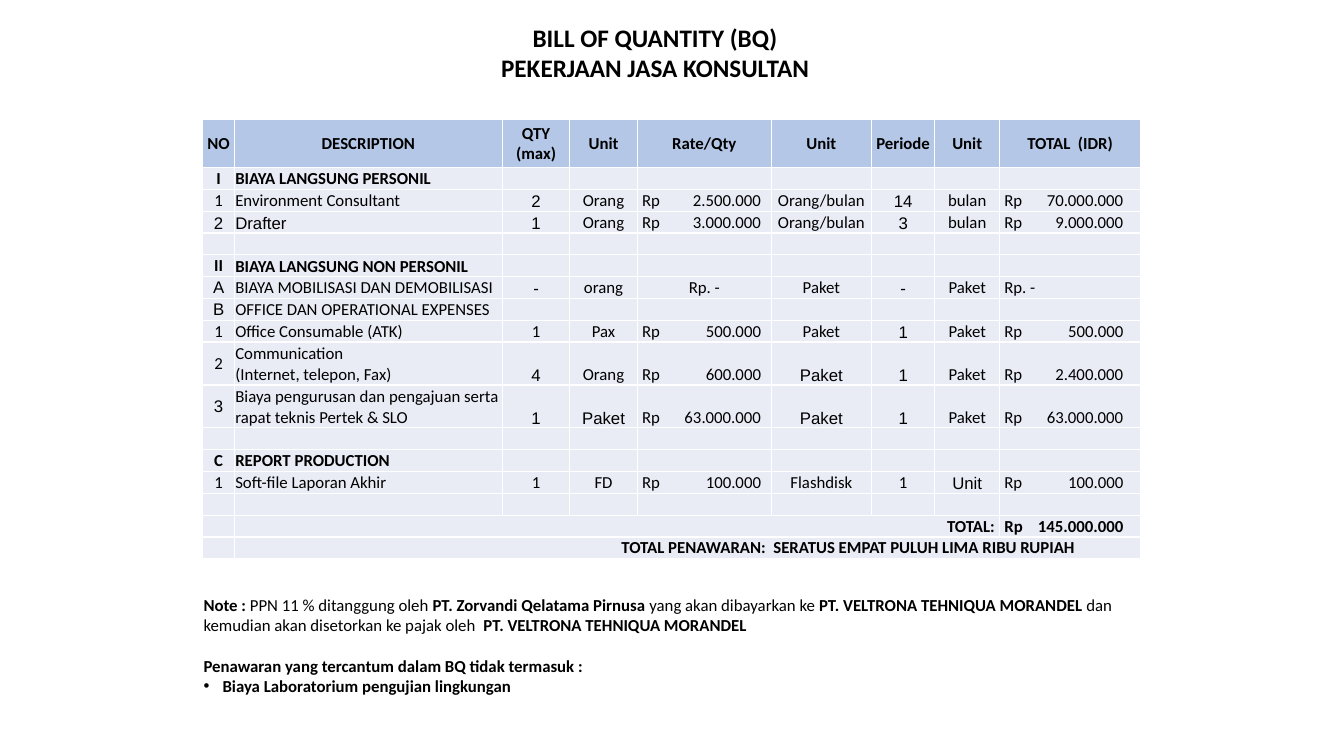
from dataclasses import dataclass

from lxml.etree import SubElement
from pptx import Presentation
from pptx.dml.color import RGBColor
from pptx.enum.text import MSO_ANCHOR as Anchor, MSO_AUTO_SIZE as AutoSize, PP_ALIGN as Align
from pptx.oxml.ns import qn
from pptx.util import Cm, Pt


@dataclass(frozen=True)
class Theme:
    """Colours, fonts and type sizes of the slide."""
    ink: RGBColor = RGBColor(0, 0, 0)
    header_fill: RGBColor = RGBColor(0xB4, 0xC7, 0xE7)
    body_fill: RGBColor = RGBColor(0xE9, 0xEB, 0xF5)
    border: str = "FFFFFF"
    font: str = "Calibri"
    alternate_font: str = "Arial"
    title_size: int = 18
    body_size: int = 12


@dataclass(frozen=True)
class Box:
    """A place on the slide, in centimetres."""
    left: float
    top: float
    width: float
    height: float

    def lengths(self):
        """Return left, top, width and height as lengths."""
        return [Cm(value) for value in (self.left, self.top, self.width, self.height)]


@dataclass(frozen=True)
class BillRow:
    """One table row; alternate lists the columns set in the second font."""
    cells: tuple = ()
    alternate: tuple = ()
    bold: bool = False
    height: float = 0.55
    number_anchor: Anchor = Anchor.MIDDLE


THEME = Theme()
COLUMN_WIDTHS = (0.8, 6.75, 1.7, 1.7, 3.38, 2.52, 1.6, 1.63, 3.56)
DESCRIPTION, RATE, TOTAL = 1, 4, 8
AMOUNT_INSET, AMOUNT_TAB = 0.12, 3.0
OFFER_INDENT = 9.75
TALL = 1.08
HEADER = BillRow(("NO", "DESCRIPTION", "QTY\n(max)", "Unit", "Rate/Qty", "Unit", "Periode",
                  "Unit", "TOTAL  (IDR)"), bold=True, height=1.22)
ROWS = (
    BillRow(("I", "BIAYA LANGSUNG PERSONIL"), bold=True, number_anchor=Anchor.BOTTOM),
    BillRow(("1", "Environment Consultant", "2", "Orang", "Rp\t2.500.000", "Orang/bulan", "14",
             "bulan", "Rp\t70.000.000"), (2, 6), number_anchor=Anchor.BOTTOM),
    BillRow(("2", "Drafter", "1", "Orang", "Rp\t3.000.000", "Orang/bulan", "3",
             "bulan", "Rp\t9.000.000"), (0, 1, 2, 6), number_anchor=Anchor.BOTTOM),
    BillRow(),
    BillRow(("II", "BIAYA LANGSUNG NON PERSONIL"), bold=True),
    BillRow(("A", "BIAYA MOBILISASI DAN DEMOBILISASI", "-", "orang", "Rp. -", "Paket", "-",
             "Paket", "Rp. -"), (0, 2, 6)),
    BillRow(("B", "OFFICE DAN OPERATIONAL EXPENSES"), (0,)),
    BillRow(("1", "Office Consumable (ATK)", "1", "Pax", "Rp\t500.000", "Paket", "1",
             "Paket", "Rp\t500.000"), (6,)),
    BillRow(("2", "Communication\n(Internet, telepon, Fax)", "4", "Orang", "Rp\t600.000",
             "Paket", "1", "Paket", "Rp\t2.400.000"), (2, 5, 6), height=TALL),
    BillRow(("3", "Biaya pengurusan dan pengajuan serta rapat teknis Pertek & SLO", "1", "Paket",
             "Rp\t63.000.000", "Paket", "1", "Paket", "Rp\t63.000.000"),
            (0, 2, 3, 5, 6), height=TALL),
    BillRow(),
    BillRow(("C", "REPORT PRODUCTION"), bold=True),
    BillRow(("1", "Soft-file Laporan Akhir", "1", "FD", "Rp\t100.000", "Flashdisk", "1",
             "Unit", "Rp\t100.000"), (7,)),
    BillRow(),
    BillRow(("", "TOTAL:", "", "", "", "", "", "", "Rp\t145.000.000"), bold=True),
    BillRow(("", "TOTAL PENAWARAN:  SERATUS EMPAT PULUH LIMA RIBU RUPIAH"), bold=True),
)
NOTE_RUNS = (
    ("Note : ", True),
    ("PPN 11 % ditanggung oleh ", False),
    ("PT. Zorvandi Qelatama Pirnusa ", True),
    ("yang akan dibayarkan ke ", False),
    ("PT. VELTRONA TEHNIQUA MORANDEL ", True),
    ("dan kemudian akan disetorkan ke pajak oleh  ", False),
    ("PT. VELTRONA TEHNIQUA MORANDEL", True),
)


def add_run(paragraph, text, size, bold=False, font=THEME.font):
    """Append a formatted run to a paragraph."""
    run = paragraph.add_run()
    run.text = text
    run.font.name, run.font.size, run.font.bold = font, Pt(size), bold
    run.font.color.rgb = THEME.ink


def add_text_box(slide, box):
    """Add a wrapping text box and return its text frame."""
    frame = slide.shapes.add_textbox(*box.lengths()).text_frame
    frame.word_wrap = True
    frame.auto_size = AutoSize.SHAPE_TO_FIT_TEXT
    return frame


def add_amount_tab(paragraph):
    """Right-align the amount after the currency at a tab stop."""
    tabs = SubElement(paragraph._p.get_or_add_pPr(), qn("a:tabLst"))
    SubElement(tabs, qn("a:tab"), pos=str(Cm(AMOUNT_TAB)), algn="r")


def style_cell(cell, fill):
    """Give a cell its insets, white borders and fill."""
    cell.margin_left = cell.margin_right = cell.margin_top = Cm(0.02)
    cell.margin_bottom = 0
    for side in ("L", "R", "T", "B"):
        line = SubElement(cell._tc.get_or_add_tcPr(), qn(f"a:ln{side}"), w=str(Pt(1)))
        SubElement(SubElement(line, qn("a:solidFill")), qn("a:srgbClr"), val=THEME.border)
    cell.fill.solid()
    cell.fill.fore_color.rgb = fill


def write_cell(cell, text, row, column):
    """Write the text of one cell, one paragraph per line."""
    frame = cell.text_frame
    font = THEME.alternate_font if column in row.alternate else THEME.font
    left_aligned = row is not HEADER and column in (DESCRIPTION, TOTAL)
    for index, line in enumerate(text.split("\n")):
        paragraph = frame.add_paragraph() if index else frame.paragraphs[0]
        paragraph.alignment = Align.LEFT if left_aligned or "\t" in line else Align.CENTER
        if "\t" in line:
            add_amount_tab(paragraph)
        for position, part in enumerate(line.split("\t")):
            if part:
                add_run(paragraph, "\t" * position + part, THEME.body_size, row.bold, font)
        if not line:
            SubElement(paragraph._p, qn("a:endParaRPr"), sz=str(THEME.body_size * 100))
    if row is not HEADER and (column == TOTAL or "\t" in text):
        cell.margin_left = Cm(AMOUNT_INSET)


def add_bill_table(slide, box):
    """Add the bill of quantity with its two closing lines."""
    rows = (HEADER, *ROWS)
    table = slide.shapes.add_table(len(rows), len(COLUMN_WIDTHS), *box.lengths()).table
    table.first_row = table.horz_banding = False
    for column, width in zip(table.columns, COLUMN_WIDTHS):
        column.width = Cm(width)
    for row_index, row in enumerate(rows):
        table.rows[row_index].height = Cm(row.height)
        for column in range(len(COLUMN_WIDTHS)):
            cell = table.cell(row_index, column)
            style_cell(cell, THEME.header_fill if row is HEADER else THEME.body_fill)
            write_cell(cell, row.cells[column] if column < len(row.cells) else "", row, column)
            cell.vertical_anchor = Anchor.MIDDLE if row is HEADER else Anchor.BOTTOM
            if row is not HEADER and column == 0:
                cell.vertical_anchor = row.number_anchor
    total_row, offer_row = len(rows) - 2, len(rows) - 1
    total_label, offer = table.cell(total_row, DESCRIPTION), table.cell(offer_row, DESCRIPTION)
    total_label.merge(table.cell(total_row, TOTAL - 1))
    offer.merge(table.cell(offer_row, TOTAL))
    total_label.text_frame.paragraphs[0].alignment = Align.RIGHT
    total_label.margin_right = Cm(0.12)
    offer.margin_left = Cm(OFFER_INDENT)
    total_label.vertical_anchor = offer.vertical_anchor = Anchor.MIDDLE


def add_title(slide, box):
    """Add the two centred title lines."""
    frame = add_text_box(slide, box)
    for index, line in enumerate(("BILL OF QUANTITY (BQ)", "PEKERJAAN JASA KONSULTAN")):
        paragraph = frame.add_paragraph() if index else frame.paragraphs[0]
        paragraph.alignment = Align.CENTER
        add_run(paragraph, line, THEME.title_size, True)


def add_notes(slide, box):
    """Add the tax note and the list of exclusions."""
    frame = add_text_box(slide, box)
    for text, bold in NOTE_RUNS:
        add_run(frame.paragraphs[0], text, THEME.body_size, bold)
    heading = frame.add_paragraph()
    heading.space_before = Pt(14.5)
    add_run(heading, "Penawaran yang tercantum dalam BQ tidak termasuk :", THEME.body_size, True)
    item = frame.add_paragraph()
    properties = item._p.get_or_add_pPr()
    properties.set("marL", str(Cm(0.48)))
    properties.set("indent", str(-Cm(0.48)))
    SubElement(properties, qn("a:buFont"), typeface=THEME.alternate_font)
    SubElement(properties, qn("a:buChar"), char="•")
    add_run(item, "Biaya Laboratorium pengujian lingkungan", THEME.body_size, True)


def main():
    """Build the slide and save it."""
    presentation = Presentation()
    presentation.slide_width, presentation.slide_height = Cm(33.87), Cm(19.05)
    slide = presentation.slides.add_slide(presentation.slide_layouts[6])
    add_bill_table(slide, Box(5.11, 3, sum(COLUMN_WIDTHS), 11))
    add_notes(slide, Box(4.88, 14.86, 23.65, 2.82))
    add_title(slide, Box(10.16, 0.43, 12.7, 1.8))
    presentation.save("out.pptx")


if __name__ == "__main__":
    main()
